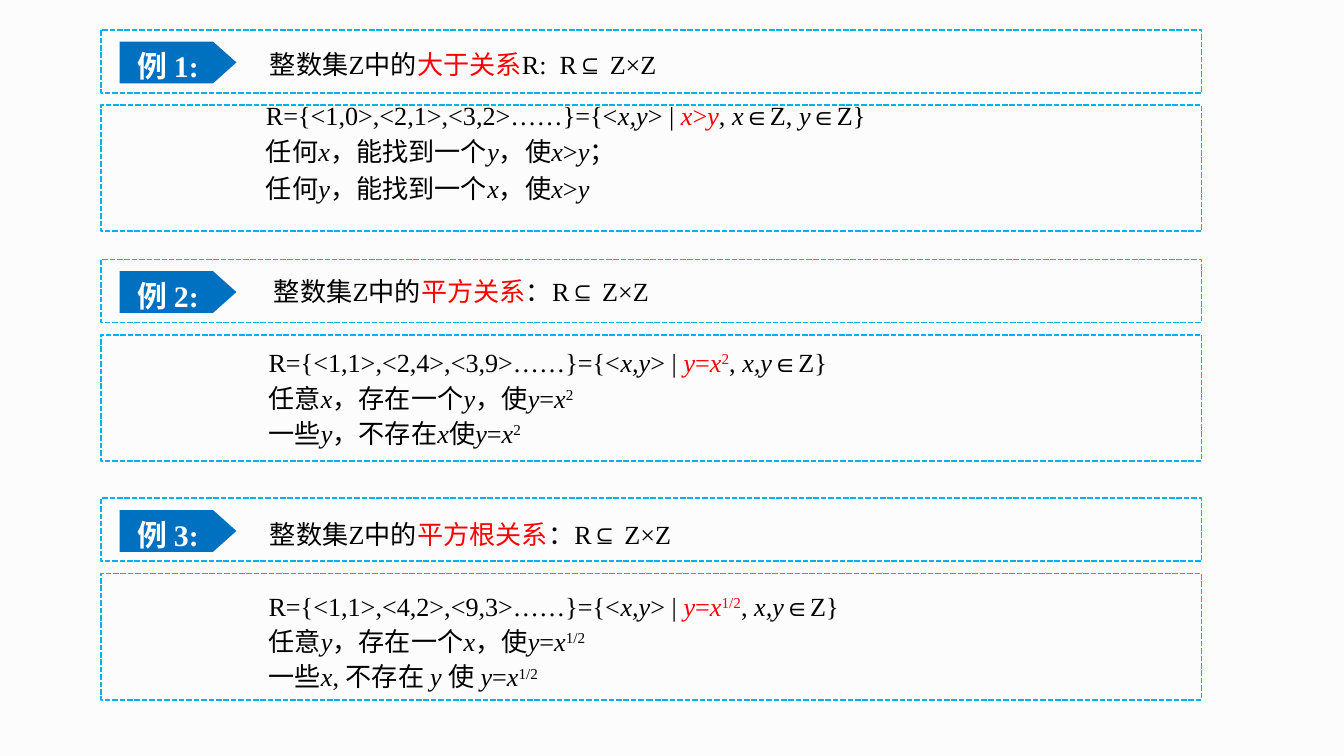
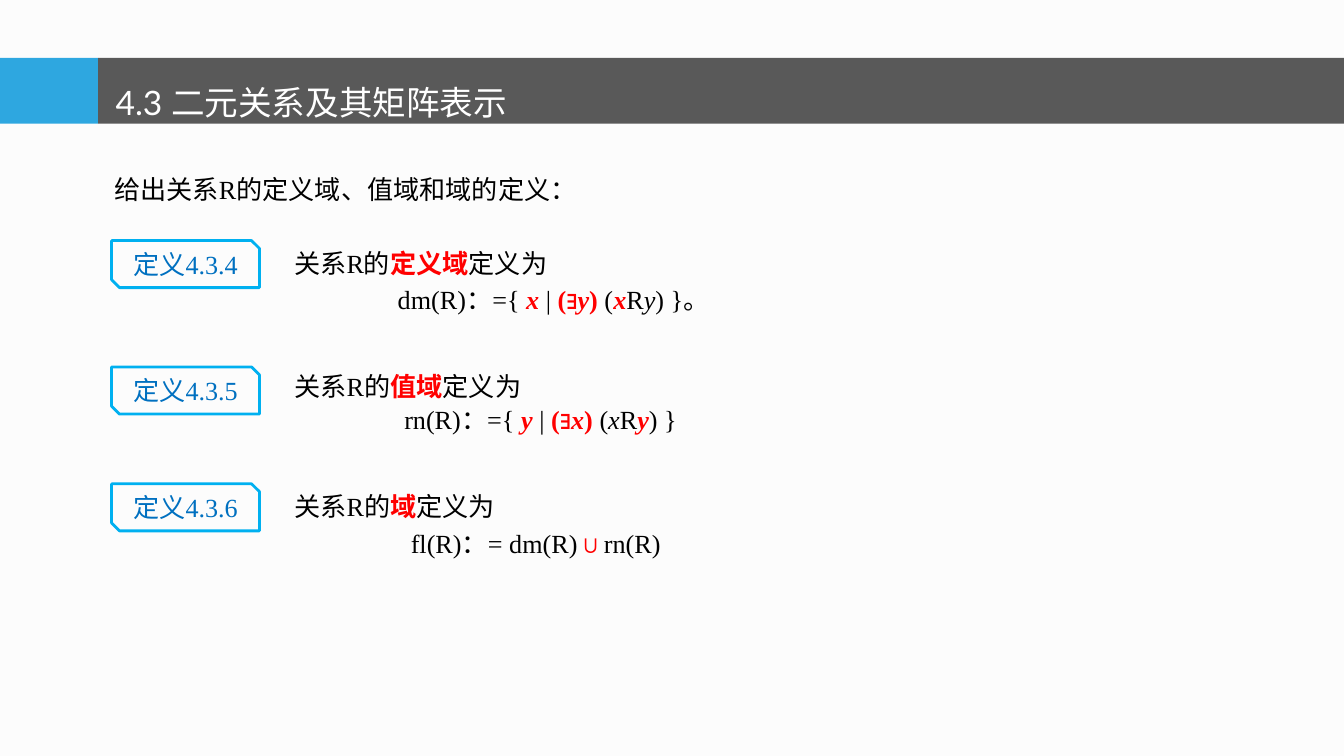
from itertools import groupby

from pptx import Presentation
from pptx.dml.color import RGBColor
from pptx.enum.dml import MSO_LINE as Dash
from pptx.enum.shapes import MSO_SHAPE as Form
from pptx.enum.text import MSO_ANCHOR as Anchor, MSO_AUTO_SIZE as Auto, PP_ALIGN as Align
from pptx.util import Pt

BACK = RGBColor(0xFC, 0xFC, 0xFC)
BLACK = RGBColor(0, 0, 0)
WHITE = RGBColor(0xFF, 0xFF, 0xFF)
RED = RGBColor(0xFF, 0, 0)
BLUE = RGBColor(0x00, 0x70, 0xC0)
SKY = RGBColor(0x00, 0xB0, 0xF0)
AZURE = RGBColor(0x2E, 0xA7, 0xE0)
GRAY = RGBColor(0x59, 0x59, 0x59)

# Marks toggle within a line: _ italic, # bold, ~ red, ^ raised
MARKS = "_#~^"

BODY = {"name": "Times New Roman", "size": Pt(14)}
TAG = {"name": "Times New Roman", "size": Pt(16), "bold": True}
TITLE = {"name": "Lato", "size": Pt(18), "bold": False}
GROW = {"word_wrap": True, "auto_size": Auto.SHAPE_TO_FIT_TEXT}
MID = {"word_wrap": True, "vertical_anchor": Anchor.MIDDLE}
LOOSE = {"space_before": Pt(2.8)}
TIGHT = {"space_before": Pt(2.8), "line_spacing": 0.9}
FIXED = {"line_spacing": Pt(19)}

CASES = [
    (16, (137.5, 22.3, 284), "整数集Z中的~大于关系~R:  R⊆ Z×Z",
     (99.4, 49.5, 493, 72), LOOSE, [
         "R={<1,0>,<2,1>,<3,2>……}={<_x,y_> | ~_x_>_y_~, _x_∈Z, _y_∈Z}",
         "任何_x_，能找到一个_y_，使_x_>_y_；",
         "任何_y_，能找到一个_x_，使_x_>_y_"]),
    (139, (139.7, 144, 329), "整数集Z中的~平方关系~：R⊆ Z×Z",
     (100.8, 180, 471, 65), FIXED, [
         "R={<1,1>,<2,4>,<3,9>……}={<_x,y_> | ~_y_=_x_^2^~, _x,y_∈Z}",
         "任意_x_，存在一个_y_，使_y_=_x_^2^",
         "一些_y_，不存在_x_使_y_=_x_^2^"]),
    (267, (137.5, 274.3, 312), "整数集Z中的~平方根关系~：R⊆ Z×Z",
     (100.8, 310.3, 448, 65), FIXED, [
         "R={<1,1>,<4,2>,<9,3>……}={<_x,y_> | ~_y_=_x_^1/2^~, _x,y_∈Z}",
         "任意_y_，存在一个_x_，使_y_=_x_^1/2^",
         "一些_x_, 不存在 _y _使 _y_=_x_^1/2^"]),
]

TERMS = [
    (128.9, "定义4.3.4", (360, 61), LOOSE, 55.5,
     ["关系R的~#定义域#~定义为",
      "dm(R)：={ ~#_x _#~| ~#(∃_y_)#~ (~#_x_#~R_y_) }。"]),
    (196.6, "定义4.3.5", (300, 63), TIGHT, 59,
     ["关系R的~#值域#~定义为",
      "rn(R)：={ ~#_y_#~ | ~#(∃_x_) #~(_x_R~#_y_#~) }"]),
    (259.2, "定义4.3.6", (553, 66), LOOSE, 62.5,
     ["关系R的~#域#~定义为",
      "fl(R)：= dm(R)~#∪#~rn(R)"]),
]


def put(item, vals):
    for key, val in vals.items():
        setattr(item, key, val)


def place(item, at):
    put(item, dict(zip(("left", "top", "width", "height"), map(Pt, at))))


class Deck:
    def __init__(self):
        self.prs = Presentation()
        put(self.prs, {"slide_width": Pt(720), "slide_height": Pt(405)})
        fill = self.prs.slide_master.background.fill
        fill.solid()
        fill.fore_color.rgb = BACK

    def page(self, kind):
        self.slide = self.prs.slides.add_slide(self.prs.slide_layouts[kind])
        self.tree = self.slide.shapes

    def line(self, para, text, font, color, form, indent=0):
        put(para, form)
        if indent:
            para._p.get_or_add_pPr().set("marL", str(int(Pt(indent))))
        live = set()
        for mark, group in groupby(text, lambda char: char in MARKS):
            if mark:
                live ^= set(group)
                continue
            run = para.add_run()
            run.text = "".join(group)
            put(run.font, font)
            if "_" in live:
                run.font.italic = True
            if "#" in live:
                run.font.bold = True
            if "^" in live:
                run._r.get_or_add_rPr().set("baseline", "30000")
            run.font.color.rgb = RED if "~" in live else color

    def shape(self, form, at, fill=None, edge=None, width=1, dash=None):
        item = self.tree.add_shape(form, *map(Pt, at))
        item.shadow.inherit = False
        if fill is None:
            item.fill.background()
        else:
            item.fill.solid()
            item.fill.fore_color.rgb = fill
        if edge is None:
            item.line.fill.background()
        else:
            item.line.color.rgb = edge
            put(item.line, {"width": Pt(width), "dash_style": dash})
        return item

    def frame(self, top, height):
        self.shape(Form.RECTANGLE, (54, top, 589.7, height), edge=SKY, dash=Dash.SQUARE_DOT)

    def tag(self, top, text):
        item = self.shape(Form.PENTAGON, (64.1, top, 62.6, 22.3), fill=BLUE)
        item.adjustments[0] = 0.56
        put(item.text_frame, MID | {"margin_left": Pt(4), "margin_right": Pt(8.4)})
        self.line(item.text_frame.paragraphs[0], text, TAG, WHITE,
                  {"alignment": Align.CENTER, "line_spacing": 1.2})

    def label(self, top, text):
        item = self.shape(Form.SNIP_2_DIAG_RECTANGLE, (59.8, top, 79.2, 25.2), edge=SKY, width=1.5)
        put(item.text_frame, MID)
        self.line(item.text_frame.paragraphs[0], text, BODY, BLUE, {"alignment": Align.CENTER})

    def text(self, at, lines, form, dents):
        frame = self.tree.add_textbox(*map(Pt, at)).text_frame
        put(frame, GROW)
        for num, (text, dent) in enumerate(zip(lines, dents)):
            para = frame.add_paragraph() if num else frame.paragraphs[0]
            self.line(para, text, BODY, BLACK, form if num else form | {"space_before": Pt(0)}, dent)

    def title(self, text):
        self.shape(Form.RECTANGLE, (0, 31, 52.6, 35.3), fill=AZURE)
        self.shape(Form.RECTANGLE, (52.6, 31, 667.4, 35.3), fill=GRAY)
        item = self.tree.title
        place(item, (54.7, 25.2, 233.3, 44.6))
        put(item.text_frame, GROW | {"word_wrap": False, "vertical_anchor": Anchor.TOP})
        self.line(item.text_frame.paragraphs[0], text, TITLE, WHITE,
                  {"alignment": Align.LEFT, "line_spacing": 1.7, "space_before": Pt(0)})
        item._element.getparent().append(item._element)


def main():
    deck = Deck()
    deck.page(6)
    for num, (top, head, topic, area, form, lines) in enumerate(CASES, 1):
        deck.frame(top, 33.8)
        deck.frame(top + 40.3, 67.7)
        deck.tag(top + 6.3, f"例 {num}:")
        deck.text((*head, 24.3), [topic], {}, [0])
        deck.text(area, lines, form, [36] * 3)

    deck.page(5)
    deck.title("4.3 二元关系及其矩阵表示")
    deck.text((54, 89.3, 442, 67.7), ["给出关系R的定义域、值域和域的定义："], {}, [0])
    for top, name, size, form, dent, lines in TERMS:
        deck.label(top, name)
        deck.text((150.5, top, *size), lines, form, [0, dent])
    deck.prs.save("out.pptx")


if __name__ == "__main__":
    main()
